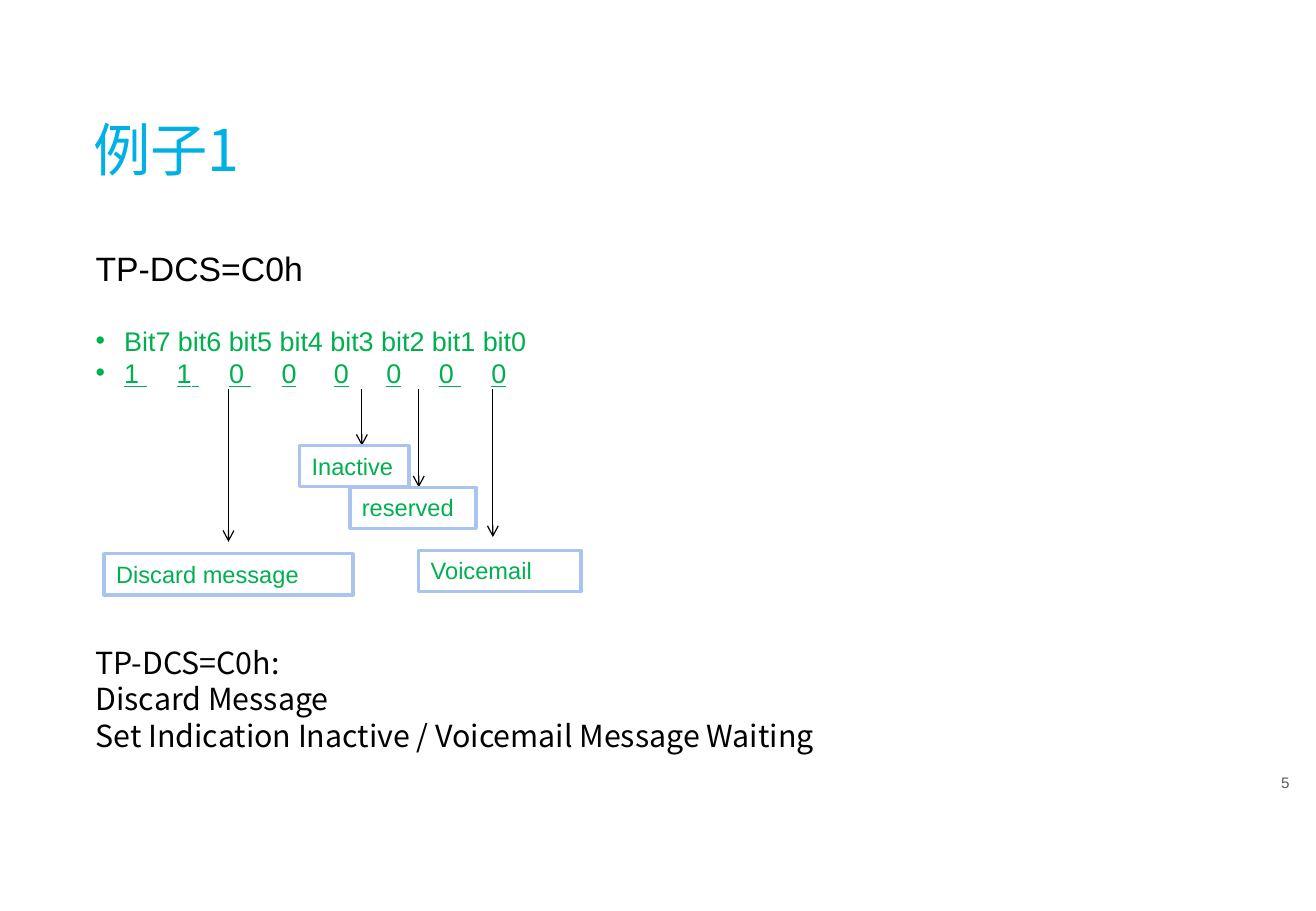
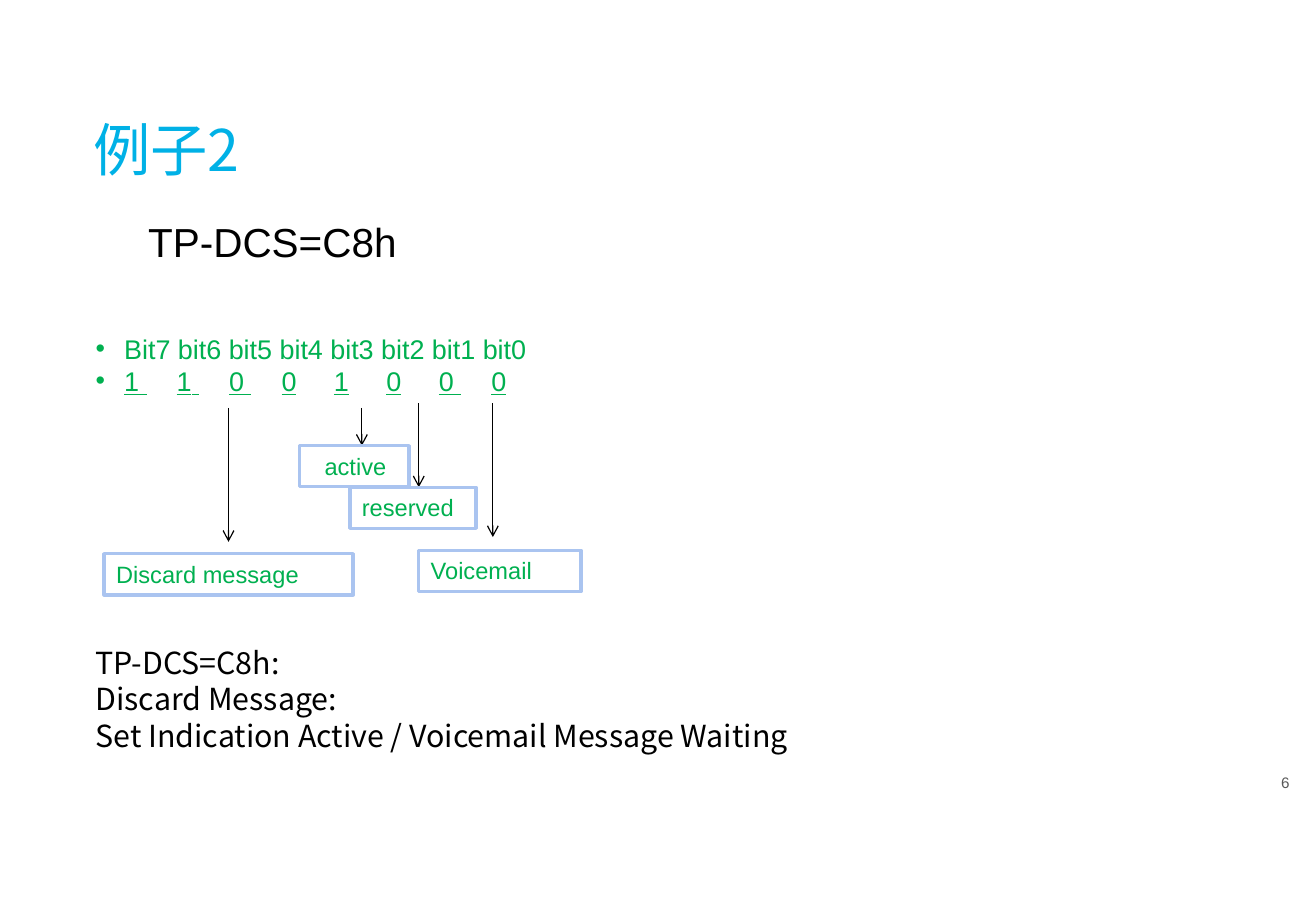
import pptx
import pptx.dml.color
import pptx.enum.shapes
import pptx.enum.text
import pptx.oxml
import pptx.oxml.ns
import pptx.util
import lxml.etree

Cm = pptx.util.Cm
Pt = pptx.util.Pt
qn = pptx.oxml.ns.qn
ALIGN = pptx.enum.text.PP_ALIGN
TOP = pptx.enum.text.MSO_ANCHOR.TOP
GREEN, BLACK = "00B050", "000000"
ARIAL, NOTO = "Arial", "Noto Sans CJK SC"
NOTE = {"name": NOTO, "size": Pt(18)}
BIT = {"name": ARIAL, "size": Pt(16)}
LABEL = {"name": ARIAL, "size": Pt(14)}
FRAME = {"word_wrap": True, "vertical_anchor": TOP}


def rgb(code):
    return pptx.dml.color.RGBColor.from_string(code)


def write(para, text, look, code):
    run = para.add_run()
    run.text = text
    for key, val in look.items():
        setattr(run.font, key, val)
    run.font.color.rgb = rgb(code)
    props = run._r.get_or_add_rPr()
    lxml.etree.SubElement(props, qn("a:ea")).set("typeface", look["name"])
    return props


deck = pptx.Presentation()
deck.slide_width, deck.slide_height = Cm(27.53), Cm(19.05)

cases = [
    {"title": "例子1", "page": "5", "code": "TP-DCS=C0h", "size": 20,
     "inset": 0.87, "left": 0, "gap": 21, "bits": "11000000", "start": (8.13, 8.13),
     "state": "Inactive", "shift": 0, "deep": 4.06,
     "notes": ["TP-DCS=C0h:", "Discard Message",
               "Set Indication Inactive / Voicemail Message Waiting"]},
    {"title": "例子2", "page": "6", "code": "TP-DCS=C8h", "size": 24,
     "inset": 0.21, "left": 1.1, "gap": 39.7, "bits": "11001000", "start": (8.43, 8.53),
     "state": "active", "shift": 0.27, "deep": 3.3,
     "notes": ["TP-DCS=C8h:", "Discard Message:",
               "Set Indication Active / Voicemail Message Waiting"]},
]

for case in cases:
    slide = deck.slides.add_slide(deck.slide_layouts[5])
    shapes = slide.shapes

    title = shapes.title
    title.left, title.top, title.width, title.height = Cm(1.7), Cm(2.39), Cm(24.18), Cm(1.45)
    for key, val in {**FRAME, "margin_top": Cm(0.23)}.items():
        setattr(title.text_frame, key, val)
    para = title.text_frame.paragraphs[0]
    para.alignment, para.line_spacing = ALIGN.LEFT, Pt(34)
    write(para, case["title"], {"name": NOTO, "size": Pt(34)}, "00B1E6")

    page = shapes.add_textbox(Cm(25.27), Cm(16.05), Cm(1.96), Cm(0.64))
    para = page.text_frame.paragraphs[0]
    para.alignment = ALIGN.RIGHT
    write(para, case["page"], {"name": ARIAL, "size": Pt(9)}, "595959")

    body = shapes.add_textbox(Cm(1.75), Cm(4.32), Cm(24.13), Cm(6.6)).text_frame
    for key, val in {**FRAME, "margin_top": Cm(case["inset"])}.items():
        setattr(body, key, val)
    head = body.paragraphs[0]
    head.space_after = Pt(case["gap"])
    head._p.get_or_add_pPr().set("marL", str(Cm(case["left"])))
    write(head, case["code"], {"name": ARIAL, "size": Pt(case["size"])}, BLACK)

    names, bits = body.add_paragraph(), body.add_paragraph()
    for para in (names, bits):
        props = para._p.get_or_add_pPr()
        props.set("marL", str(Cm(0.6)))
        props.set("indent", str(-Cm(0.6)))
        tint = lxml.etree.SubElement(props, qn("a:buClr"))
        lxml.etree.SubElement(tint, qn("a:srgbClr")).set("val", GREEN)
        lxml.etree.SubElement(props, qn("a:buFont")).set("typeface", ARIAL)
        lxml.etree.SubElement(props, qn("a:buChar")).set("char", "•")
    write(names, "Bit7 bit6 bit5 bit4 bit3 bit2 bit1 bit0", BIT, GREEN)
    for spot, bit in enumerate(case["bits"]):
        if spot:
            joined = spot not in (4, 5, 6)
            space = write(bits, " ", {**BIT, "underline": joined}, GREEN)
            space.set("spc", "1780")
        write(bits, bit, {**BIT, "underline": True}, GREEN)

    outer, inner = case["start"]
    for left, top, end in [(10.31, outer, 11.23), (4.78, inner, 11.33),
                           (7.57, inner, 9.32), (8.76, outer, 10.19)]:
        arrow = shapes.add_connector(pptx.enum.shapes.MSO_CONNECTOR.STRAIGHT,
                                     Cm(left), Cm(top), Cm(left), Cm(end))
        arrow.line.color.rgb, arrow.line.width = rgb(BLACK), Pt(0.75)
        tail = lxml.etree.SubElement(arrow.line._get_or_add_ln(), qn("a:tailEnd"))
        tail.set("type", "arrow")
        lxml.etree.SubElement(arrow._element.spPr, qn("a:effectLst"))

    for text, left, top, width, shift in [
            ("reserved", 7.32, 10.19, 2.64, 0), ("Voicemail", 8.76, 11.51, 3.4, 0),
            (case["state"], 6.27, 9.32, 2.29, case["shift"]),
            ("Discard message", 2.18, 11.58, 5.21, 0)]:
        box = shapes.add_shape(pptx.enum.shapes.MSO_SHAPE.RECTANGLE,
                               Cm(left), Cm(top), Cm(width), Cm(0.86))
        box.shadow.inherit = False
        box.fill.solid()
        box.fill.fore_color.rgb = rgb("FFFFFF")
        box.line.color.rgb, box.line.width = rgb("AAC4F0"), Pt(2)
        for key, val in FRAME.items():
            setattr(box.text_frame, key, val)
        para = box.text_frame.paragraphs[0]
        para.alignment = ALIGN.LEFT
        para._p.get_or_add_pPr().set("marL", str(Cm(shift)))
        write(para, text, LABEL, GREEN)

    notes = shapes.add_textbox(Cm(1.75), Cm(13.34), Cm(15.54), Cm(case["deep"])).text_frame
    notes.word_wrap = True
    for spot, text in enumerate(case["notes"]):
        para = notes.add_paragraph() if spot else notes.paragraphs[0]
        para.line_spacing = Pt(21.6)
        write(para, text, NOTE, BLACK)

deck.save("out.pptx")
